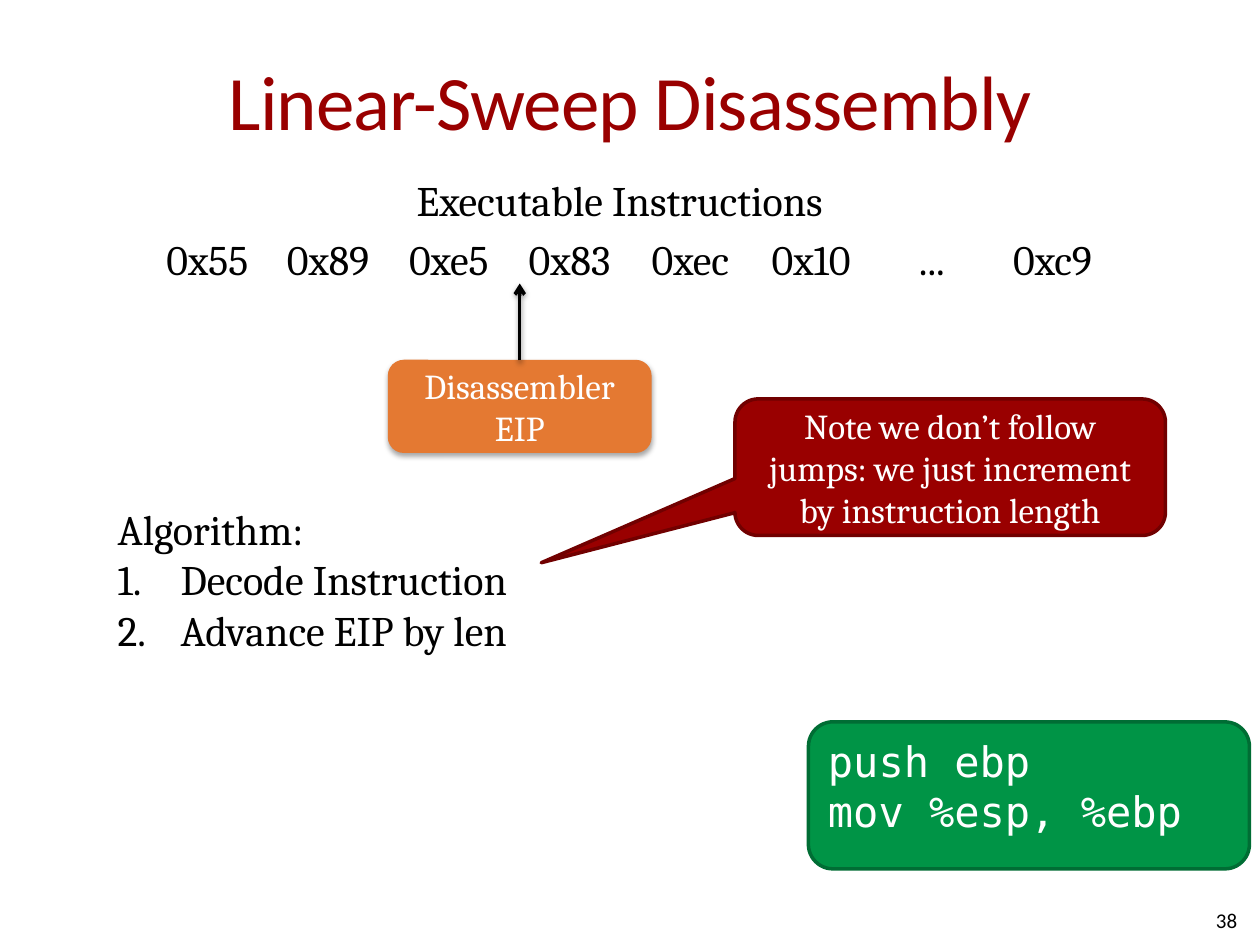
from dataclasses import dataclass

from lxml import etree
from pptx import Presentation
from pptx.dml.color import RGBColor
from pptx.enum.shapes import MSO_CONNECTOR, MSO_SHAPE
from pptx.enum.text import MSO_ANCHOR, MSO_AUTO_SIZE, PP_ALIGN
from pptx.oxml.ns import qn
from pptx.util import Pt

LEFT, CENTER, RIGHT = PP_ALIGN.LEFT, PP_ALIGN.CENTER, PP_ALIGN.RIGHT
TOP, MIDDLE = MSO_ANCHOR.TOP, MSO_ANCHOR.MIDDLE
ROUNDED = MSO_SHAPE.ROUNDED_RECTANGLE
CALLOUT = MSO_SHAPE.ROUNDED_RECTANGULAR_CALLOUT


@dataclass(frozen=True)
class Theme:
    heading: str = "Calibri"
    serif: str = "Cambria"
    mono: str = "DejaVu Sans Mono"
    black: str = "000000"
    white: str = "FFFFFF"
    red: str = "990000"
    dark_red: str = "710000"
    orange: str = "E47932"
    green: str = "009446"
    dark_green: str = "006D34"
    title_size: int = 44
    body_size: int = 24
    label_size: int = 20
    number_size: int = 12


def rgb(value):
    return RGBColor.from_string(value)


def add_shadow(effects, alpha, blur, dist):
    """Put a downward outer shadow into an a:effectLst; alpha is in percent."""
    shadow = etree.SubElement(effects, qn("a:outerShdw"), blurRad=str(Pt(blur)),
                              dist=str(Pt(dist)), dir="5400000", rotWithShape="0")
    color = etree.SubElement(shadow, qn("a:srgbClr"), val="000000")
    etree.SubElement(color, qn("a:alpha"), val=str(alpha * 1000))


class SlideBuilder:
    def __init__(self, prs, theme):
        self.theme = theme
        self.s = prs.slides.add_slide(prs.slide_layouts[1])

    def place(self, sp, left, top, width, height):
        sp.left, sp.top = Pt(left), Pt(top)
        sp.width, sp.height = Pt(width), Pt(height)

    def run(self, p, text, size, font=None, color=None):
        r = p.add_run()
        r.text = text
        r.font.size = Pt(size)
        r.font.name = font or self.theme.serif
        r.font.color.rgb = rgb(color or self.theme.black)
        return r

    def lines(self, tf, texts, size, font=None, color=None, align=LEFT, anchor=TOP):
        tf.word_wrap = True
        tf.vertical_anchor = anchor
        for i, text in enumerate(texts):
            p = tf.add_paragraph() if i else tf.paragraphs[0]
            p.alignment = align
            self.run(p, text, size, font, color)

    def title(self, text, box):
        sp = self.s.shapes.title
        self.place(sp, *box)
        tf = sp.text_frame
        tf.margin_left = tf.margin_right = 0
        self.lines(tf, [text], self.theme.title_size, self.theme.heading,
                   self.theme.red, CENTER, MIDDLE)
        tf.paragraphs[0].runs[0].font._element.set("spc", "-50")

    def numbered_list(self, heading, items, box):
        sp = self.s.placeholders[1]
        self.place(sp, *box)
        tf = sp.text_frame
        tf.auto_size = MSO_AUTO_SIZE.NONE
        for i, text in enumerate([heading, *items]):
            p = tf.add_paragraph() if i else tf.paragraphs[0]
            pPr = p._p.get_or_add_pPr()
            indent = Pt(36) if i else 0
            pPr.set("marL", str(indent))
            pPr.set("indent", str(-indent))
            if i:
                etree.SubElement(pPr, qn("a:buFont"), typeface="+mj-lt")
                etree.SubElement(pPr, qn("a:buAutoNum"), type="arabicPeriod")
            else:
                etree.SubElement(pPr, qn("a:buNone"))
            p.space_before = Pt(0)
            self.run(p, text, self.theme.body_size)

    def text(self, text, box, size, **style):
        sp = self.s.shapes.add_textbox(*map(Pt, box))
        self.lines(sp.text_frame, [text], size, **style)

    def shape(self, kind, box, fill, line, weight, adjustments=()):
        sp = self.s.shapes.add_shape(kind, *map(Pt, box))
        sp.shadow.inherit = False
        sp.fill.solid()
        sp.fill.fore_color.rgb = rgb(fill)
        sp.line.color.rgb = rgb(line)
        sp.line.width = Pt(weight)
        for i, value in enumerate(adjustments):
            sp.adjustments[i] = value
        return sp

    def arrow(self, x1, y1, x2, y2):
        line = self.s.shapes.add_connector(MSO_CONNECTOR.STRAIGHT, *map(Pt, (x1, y1, x2, y2)))
        line.line.color.rgb = rgb(self.theme.black)
        line.line.width = Pt(2)
        etree.SubElement(line.line._get_or_add_ln(), qn("a:tailEnd"), type="arrow")
        effects = etree.SubElement(line._element.spPr, qn("a:effectLst"))
        add_shadow(effects, 38, 3.1, 1.6)

    def byte_row(self, values, box):
        table = self.s.shapes.add_table(1, len(values), *map(Pt, box)).table
        table.first_row = table.horz_banding = False
        for cell, value in zip(table.rows[0].cells, values):
            cell.fill.background()
            p = cell.text_frame.paragraphs[0]
            p.alignment = CENTER
            self.run(p, value, self.theme.body_size)


def main():
    prs = Presentation()
    prs.slide_width, prs.slide_height = Pt(720), Pt(540)
    t = Theme()
    b = SlideBuilder(prs, t)

    b.title("Linear-Sweep Disassembly", (36, 12, 648, 90))
    b.text("38", (546, 511, 168, 29), t.number_size, font=t.heading,
           align=RIGHT, anchor=MIDDLE)

    eip = b.shape(ROUNDED, (222, 206, 150, 52.5), t.orange, t.orange, 0.75)
    add_shadow(eip._element.spPr.find(qn("a:effectLst")), 35, 3.1, 1.8)
    b.lines(eip.text_frame, ["Disassembler"], t.label_size, color=t.white,
            align=CENTER, anchor=MIDDLE)
    p = eip.text_frame.paragraphs[0]
    p.add_line_break()
    b.run(p, "EIP", t.label_size, color=t.white)

    b.byte_row(["0x55", "0x89", "0xe5", "0x83", "0xec", "0x10", "...", "0xc9"],
               (84, 132, 552, 30))
    b.text("Executable Instructions", (231, 96, 258, 36), t.body_size)
    b.arrow(297, 206, 297, 162)

    code = b.shape(ROUNDED, (462, 412.5, 252, 84), t.green, t.dark_green, 2)
    b.lines(code.text_frame, ["push ebp", "mov %esp, %ebp"], t.body_size, t.mono, t.white)

    b.numbered_list("Algorithm:", ["Decode Instruction", "Advance EIP by len"],
                    (60, 284, 288, 94))

    note = b.shape(CALLOUT, (420, 228, 246, 78), t.red, t.dark_red, 2, (-0.95, 0.7, 0.17))
    b.lines(note.text_frame,
            ["Note we don’t follow jumps: we just increment by instruction length"],
            t.label_size, color=t.white, align=CENTER, anchor=MIDDLE)

    prs.save("out.pptx")


if __name__ == "__main__":
    main()
